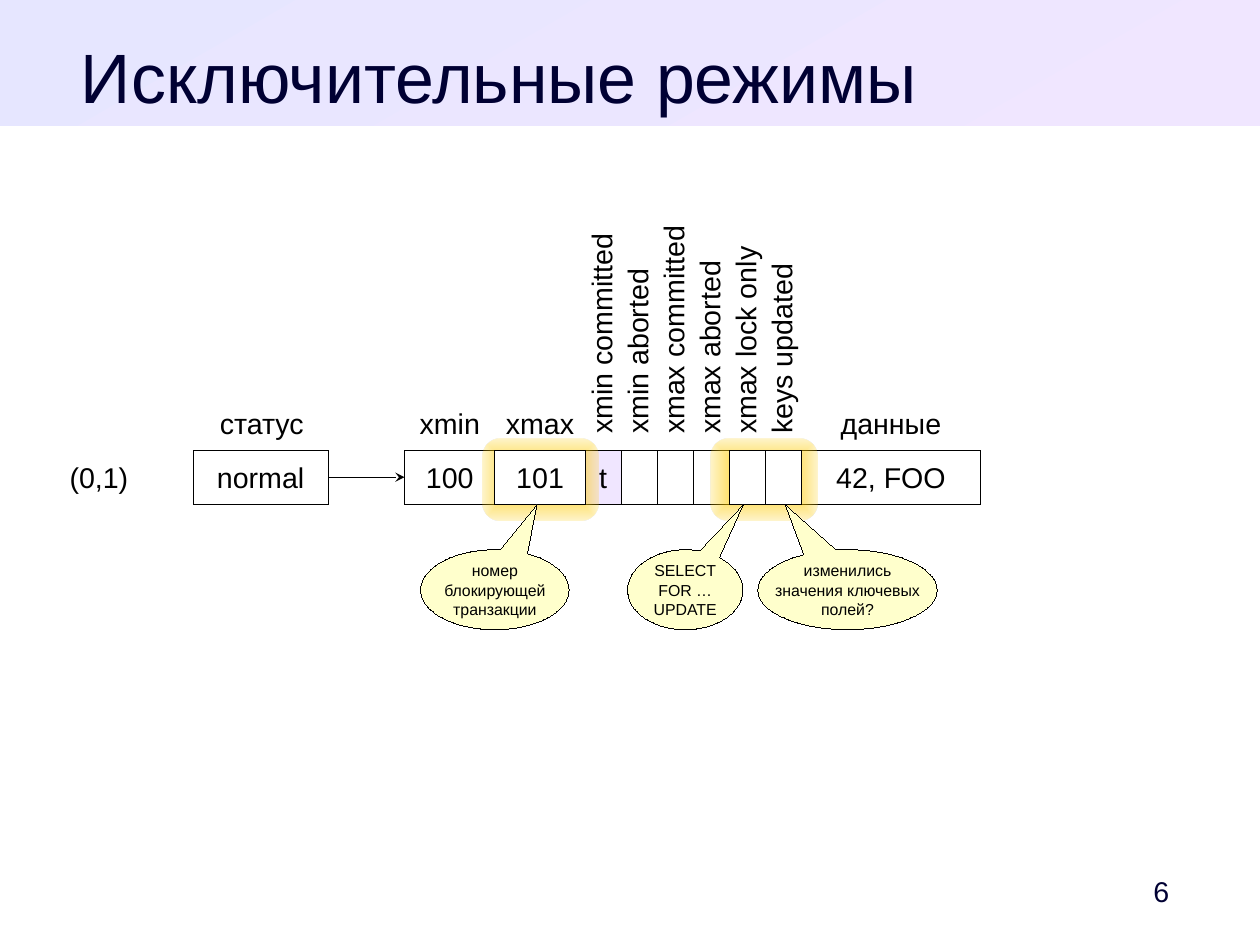
from dataclasses import dataclass

from lxml.etree import SubElement
from pptx import Presentation
from pptx.dml.color import RGBColor
from pptx.enum.shapes import MSO_CONNECTOR, MSO_SHAPE
from pptx.enum.text import MSO_ANCHOR, MSO_AUTO_SIZE, PP_ALIGN
from pptx.oxml import parse_xml
from pptx.oxml.ns import nsdecls, qn
from pptx.util import Inches, Pt

TITLE = "Исключительные режимы"
NUMBER = "6"
POINTER = "(0,1)"
STATUS = ("статус", "normal")
# label, value, marked
FIELDS = [("xmin", "100", False), ("xmax", "101", True)]
FLAGS = [
    ("xmin committed", "t", False),
    ("xmin aborted", "", False),
    ("xmax committed", "", False),
    ("xmax aborted", "", False),
    ("xmax lock only", "", True),
    ("keys updated", "", True),
]
DATA = ("данные", "42, FOO", False)
# left, width, tip offset as shares of the size, lines
NOTES = [
    (3.68, 1.3, (0.284, -1.066), ["номер", "блокирующей", "транзакции"]),
    (6.63, 1.57, (-0.347, -1.067), ["изменились", "значения ключевых", "полей?"]),
    (5.49, 1.01, (0.503, -1.066), ["SELECT", "FOR …", "UPDATE"]),
]
# left, width
GLOWS = [(4.22, 1.02), (6.22, 0.93)]


@dataclass(frozen=True)
class Theme:
    font: str = "Arial"
    ink: str = "000000"
    navy: str = "000033"
    white: str = "FFFFFF"
    blue: str = "E6E6FF"
    lilac: str = "F0E6FF"
    cream: str = "FFFFCC"
    gold: str = "FFCC00"
    head: int = 44
    body: int = 18
    note: int = 10


THEME = Theme()
WIDE, HIGH = 280 / 25.4, 210 / 25.4  # a page of 280 by 210 mm
ROW, TALL = 3.94, 0.47
LEFT, FIELD, FLAG, LAST = 3.54, 0.79, 0.315, 1.57
STATE, STATEW = 1.69, 1.18
TAG = 2.09  # length of an upright label

deck = Presentation()
deck.slide_width, deck.slide_height = Inches(WIDE), Inches(HIGH)
slide = deck.slides.add_slide(deck.slide_layouts[5])
shapes = slide.shapes


def color(code):
    return RGBColor.from_string(code)


def write(shape, lines, size=THEME.body, ink=THEME.ink,
          align=PP_ALIGN.CENTER, wrap=False):
    frame = shape.text_frame
    frame.word_wrap = wrap
    frame.auto_size = MSO_AUTO_SIZE.NONE
    frame.vertical_anchor = MSO_ANCHOR.MIDDLE
    for i, line in enumerate(lines):
        para = frame.add_paragraph() if i else frame.paragraphs[0]
        para.alignment = align
        run = para.add_run()
        run.text = line
        run.font.name, run.font.size = THEME.font, Pt(size)
        run.font.color.rgb = color(ink)


def trace(shape):
    """Give the shape a hairline and return its line element."""
    shape.line.color.rgb = color(THEME.ink)
    edge = shape.element.spPr.find(qn("a:ln"))
    edge.set("w", "0")
    return edge


def draw(kind, left, top, width, height, fill=None, line=False):
    shape = shapes.add_shape(kind, *map(Inches, (left, top, width, height)))
    shape.shadow.inherit = False
    if fill:
        shape.fill.solid()
        shape.fill.fore_color.rgb = color(fill)
    if line:
        trace(shape)
    else:
        shape.line.fill.background()
    return shape


def label(text, left, top, width, height=TALL, **look):
    box = shapes.add_textbox(*map(Inches, (left, top, width, height)))
    write(box, [text], **look)
    return box


def cell(text, left, width):
    fill = THEME.lilac if text == "t" else THEME.white
    box = draw(MSO_SHAPE.RECTANGLE, left, ROW, width, TALL, fill, True)
    if text:
        write(box, [text])
    return box


def glow(left, width):
    """Rounded halo that fades from its centre to its rim."""
    halo = draw(MSO_SHAPE.ROUNDED_RECTANGLE, left, ROW - 0.1, width, 0.71)
    halo.adjustments[0] = 0.224
    halo.fill.gradient()
    props = halo.element.spPr
    props.replace(props.find(qn("a:gradFill")), parse_xml(
        f'<a:gradFill {nsdecls("a")} rotWithShape="1"><a:gsLst>'
        f'<a:gs pos="0"><a:srgbClr val="{THEME.gold}"/></a:gs>'
        f'<a:gs pos="100000"><a:srgbClr val="{THEME.gold}">'
        '<a:alpha val="20000"/></a:srgbClr></a:gs></a:gsLst>'
        '<a:path path="rect"><a:fillToRect l="50000" t="50000" '
        'r="50000" b="50000"/></a:path></a:gradFill>'))


def join(start, end):
    link = shapes.add_connector(MSO_CONNECTOR.STRAIGHT, 0, 0, 0, 0)
    link.begin_connect(start, 3)
    link.end_connect(end, 1)
    SubElement(trace(link), qn("a:tailEnd"), type="stealth")
    SubElement(link.element.spPr, qn("a:effectLst"))


# Header band, title and page number
band = draw(MSO_SHAPE.RECTANGLE, 0, 0, WIDE, 1.1)
band.fill.gradient()
band.fill.gradient_angle = 300
for stop, code in zip(band.fill.gradient_stops, (THEME.blue, THEME.lilac)):
    stop.color.rgb = color(code)

title = shapes.title
title.left, title.top = Inches(0.47), Inches(0.29)
title.width, title.height = Inches(7.8), Inches(0.68)
write(title, [TITLE], THEME.head, THEME.navy, wrap=True)
frame = title.text_frame
frame.vertical_anchor = MSO_ANCHOR.TOP
frame.margin_left = frame.margin_right = 0
frame.margin_top = frame.margin_bottom = 0
shapes._spTree.append(title.element)  # in front of the band

page = label(NUMBER, 9.69, 7.56, 0.87, ink=THEME.navy,
             align=PP_ALIGN.RIGHT, wrap=True)
page.text_frame.margin_right = Inches(0.33)

# Row pointer and its status
label(POINTER, 0.47, ROW, FIELD)
label(STATUS[0], STATE + 0.01, ROW - TALL, STATEW)
status = cell(STATUS[1], STATE, STATEW)

# Row version: labels above, cells below, marked cells on top of the halos
parts = ([(FIELD, *item) for item in FIELDS]
         + [(FLAG, *item) for item in FLAGS] + [(LAST, *DATA)])
plain, marked = [], []
left = LEFT
for width, name, value, mark in parts:
    if width == FLAG:
        mid = left + width / 2 - 0.02
        tag = label(name, mid - TAG / 2, 2.65, TAG, 0.4,
                    align=PP_ALIGN.LEFT, wrap=True)
        tag.rotation = 270
    else:
        label(name, left, ROW - TALL, width)
    (marked if mark else plain).append((value, left, width))
    left += width

boxes = [cell(*item) for item in plain]
join(status, boxes[0])
for item in GLOWS:
    glow(*item)
for item in marked:
    cell(*item)

for left, width, tip, lines in NOTES:
    note = draw(MSO_SHAPE.OVAL_CALLOUT, left, 4.81, width, 0.7,
                THEME.cream, True)
    note.adjustments[0], note.adjustments[1] = tip
    write(note, lines, THEME.note)

deck.save("out.pptx")
